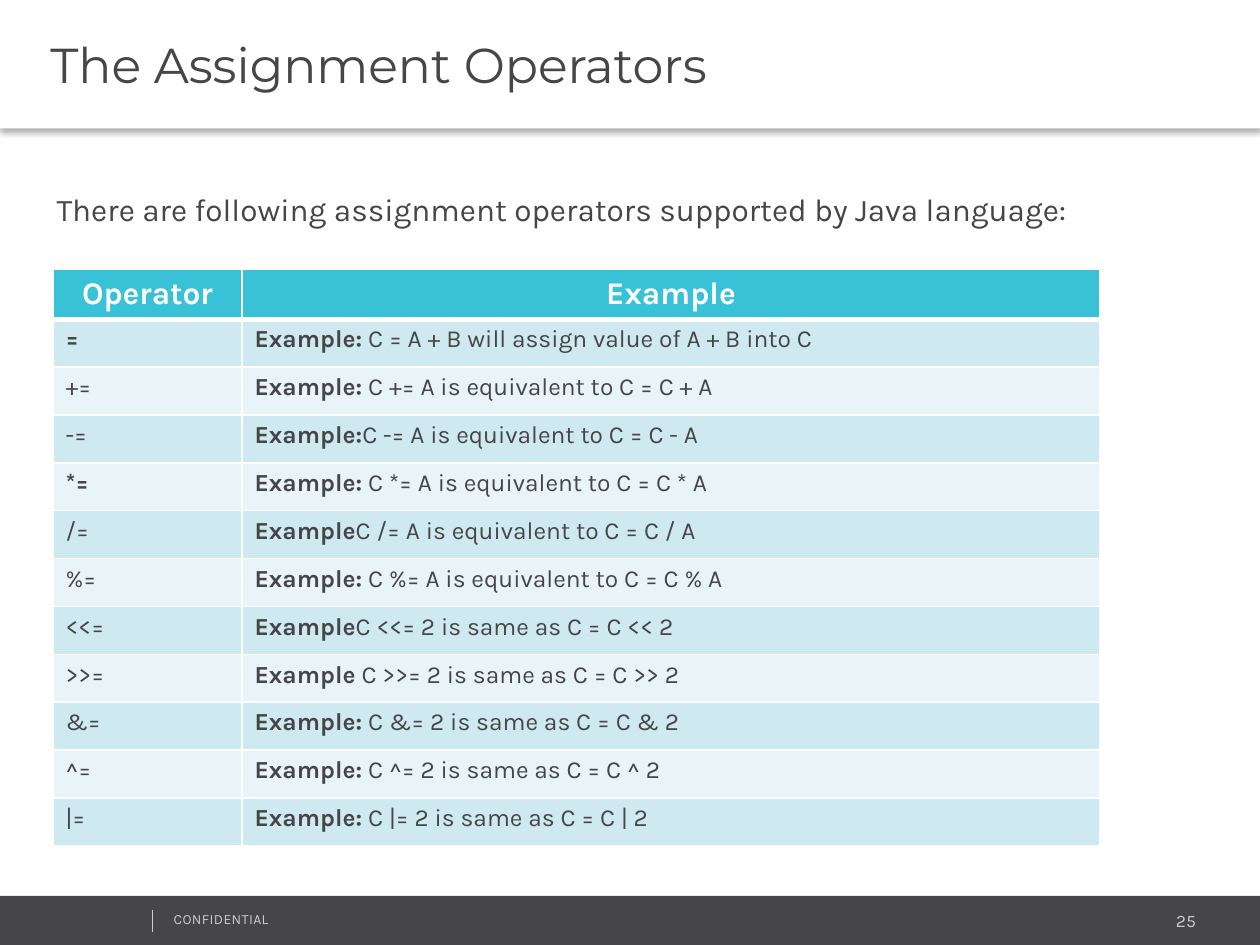
import dataclasses

import pptx
import pptx.dml.color
import pptx.enum.shapes
import pptx.enum.text
import pptx.oxml
import pptx.oxml.ns
import pptx.util

RGB = pptx.dml.color.RGBColor
ALIGN = pptx.enum.text.PP_ALIGN
ANCHOR = pptx.enum.text.MSO_ANCHOR

DARK = RGB(0x46, 0x45, 0x47)
GREY = RGB(0xCC, 0xCC, 0xCC)
WHITE = RGB(0xFF, 0xFF, 0xFF)
TEAL = RGB(0x39, 0xC2, 0xD7)
BANDS = (RGB(0xCE, 0xE9, 0xF0), RGB(0xE8, 0xF4, 0xF8))

WIDE = pptx.util.Inches(10)
HIGH = pptx.util.Inches(7.5)
COLS = (15, 68.1)
ROW = 5.07
NS = pptx.oxml.ns.nsdecls("a")


@dataclasses.dataclass
class Box:
    left: float
    top: float
    width: float
    height: float

    def place(self) -> tuple:
        return (across(self.left), down(self.top),
                across(self.width), down(self.height))


@dataclasses.dataclass
class Label:
    text: str
    box: Box
    size: float
    color: RGB
    align: ALIGN = ALIGN.LEFT
    space: int = 0


@dataclasses.dataclass
class Entry:
    sign: str
    lead: str
    rest: str
    bold: bool = False


LABELS = (
    Label("There are following assignment operators supported by Java language:",
          Box(3.5, 19.47, 95.2, 5.33), 18, DARK),
    Label("CONFIDENTIAL", Box(12.8, 95.73, 25.3, 3.2), 8, GREY, space=20),
    Label("25", Box(79.6, 95.6, 16.3, 3.6), 10, GREY, ALIGN.RIGHT),
)

ENTRIES = (
    Entry("=", "Example:", " C = A + B will assign value of A + B into C", True),
    Entry("+=", "Example:", " C += A is equivalent to C = C + A"),
    Entry("-=", "Example:", "C -= A is equivalent to C = C - A"),
    Entry("*=", "Example:", " C *= A is equivalent to C = C * A", True),
    Entry("/=", "Example", "C /= A is equivalent to C = C / A"),
    Entry("%=", "Example:", " C %= A is equivalent to C = C % A"),
    Entry("<<=", "Example", "C <<= 2 is same as C = C << 2"),
    Entry(">>=", "Example", " C >>= 2 is same as C = C >> 2"),
    Entry("&=", "Example:", " C &= 2 is same as C = C & 2"),
    Entry("^=", "Example:", " C ^= 2 is same as C = C ^ 2"),
    Entry("|=", "Example:", " C |= 2 is same as C = C | 2"),
)


def across(share: float) -> int:
    return round(WIDE * share / 100)


def down(share: float) -> int:
    return round(HIGH * share / 100)


def style(font, size: float, color: RGB, name: str = "Karla") -> None:
    font.name = name
    font.size = pptx.util.Pt(size)
    font.color.rgb = color


def add_title(slide, text: str, box: Box) -> None:
    title = slide.shapes.title
    title.left, title.top, title.width, title.height = box.place()
    title.fill.solid()
    title.fill.fore_color.rgb = WHITE
    title.line.fill.background()
    title._element.spPr.append(pptx.oxml.parse_xml(
        f'<a:effectLst {NS}><a:outerShdw blurRad="39370" dist="25400" '
        'dir="5400000" algn="t" rotWithShape="0"><a:srgbClr val="000000">'
        '<a:alpha val="30000"/></a:srgbClr></a:outerShdw></a:effectLst>'))
    frame = title.text_frame
    frame.text = text
    frame.auto_size = pptx.enum.text.MSO_AUTO_SIZE.NONE
    frame.vertical_anchor = ANCHOR.MIDDLE
    frame.margin_left = across(4)
    para = frame.paragraphs[0]
    para.alignment = ALIGN.LEFT
    style(para.font, 28, DARK, "Montserrat")


def add_label(slide, label: Label) -> None:
    frame = slide.shapes.add_textbox(*label.box.place()).text_frame
    frame.word_wrap = True
    frame.auto_size = pptx.enum.text.MSO_AUTO_SIZE.SHAPE_TO_FIT_TEXT
    para = frame.paragraphs[0]
    para.alignment = label.align
    style(para.font, label.size, label.color)
    run = para.add_run()
    run.text = label.text
    if label.space:
        run._r.get_or_add_rPr().set("spc", str(label.space))


def add_bar(slide, box: Box) -> None:
    bar = slide.shapes.add_shape(
        pptx.enum.shapes.MSO_SHAPE.RECTANGLE, *box.place())
    bar.shadow.inherit = False
    bar.fill.solid()
    bar.fill.fore_color.rgb = DARK
    bar.line.fill.background()


def add_rule(slide, left: float, top: float, base: float) -> None:
    rule = slide.shapes.add_connector(
        pptx.enum.shapes.MSO_CONNECTOR.STRAIGHT,
        across(left), down(top), across(left), down(base))
    rule.line.color.rgb = GREY
    rule.line.width = pptx.util.Pt(0.25)
    rule._element.spPr.append(pptx.oxml.parse_xml(f"<a:effectLst {NS}/>"))


def paint(cell, color: RGB, base: float = 1, top: float = 1) -> None:
    props = cell._tc.get_or_add_tcPr()
    for side, width in (("L", 1), ("R", 1), ("T", top), ("B", base)):
        props.append(pptx.oxml.parse_xml(
            f'<a:ln{side} {NS} w="{pptx.util.Pt(width)}"><a:solidFill>'
            f'<a:srgbClr val="{WHITE}"/></a:solidFill></a:ln{side}>'))
    cell.fill.solid()
    cell.fill.fore_color.rgb = color


def write(cell, parts: tuple, size: float, color: RGB,
          align: ALIGN = ALIGN.LEFT) -> None:
    para = cell.text_frame.paragraphs[0]
    para.alignment = align
    style(para.font, size, color)
    for text, bold in parts:
        run = para.add_run()
        run.text = text
        run.font.bold = bold


def add_grid(slide, left: float, top: float) -> None:
    count = len(ENTRIES) + 1
    box = Box(left, top, sum(COLS), ROW * count)
    table = slide.shapes.add_table(count, len(COLS), *box.place()).table
    for col, share in zip(table.columns, COLS):
        col.width = across(share)
    for row in table.rows:
        row.height = down(ROW)
    for col, head in enumerate(("Operator", "Example")):
        cell = table.cell(0, col)
        paint(cell, TEAL, base=3)
        write(cell, ((head, True),), 18, WHITE, ALIGN.CENTER)
    for row, entry in enumerate(ENTRIES, 1):
        pairs = (((entry.sign, entry.bold),),
                 ((entry.lead, True), (entry.rest, False)))
        for col, parts in enumerate(pairs):
            cell = table.cell(row, col)
            paint(cell, BANDS[(row - 1) % 2], top=3 if row == 1 else 1)
            write(cell, parts, 14, DARK)


def main() -> None:
    deck = pptx.Presentation()
    deck.slide_width, deck.slide_height = WIDE, HIGH
    slide = deck.slides.add_slide(deck.slide_layouts.get_by_name("Title Only"))
    add_title(slide, "The Assignment Operators", Box(0, 0, 100, 13.6))
    add_bar(slide, Box(0, 94.8, 100, 5.2))
    add_rule(slide, 12.1, 96.27, 98.67)
    add_grid(slide, 4.2, 28.53)
    for label in LABELS:
        add_label(slide, label)
    deck.save("out.pptx")


if __name__ == "__main__":
    main()
